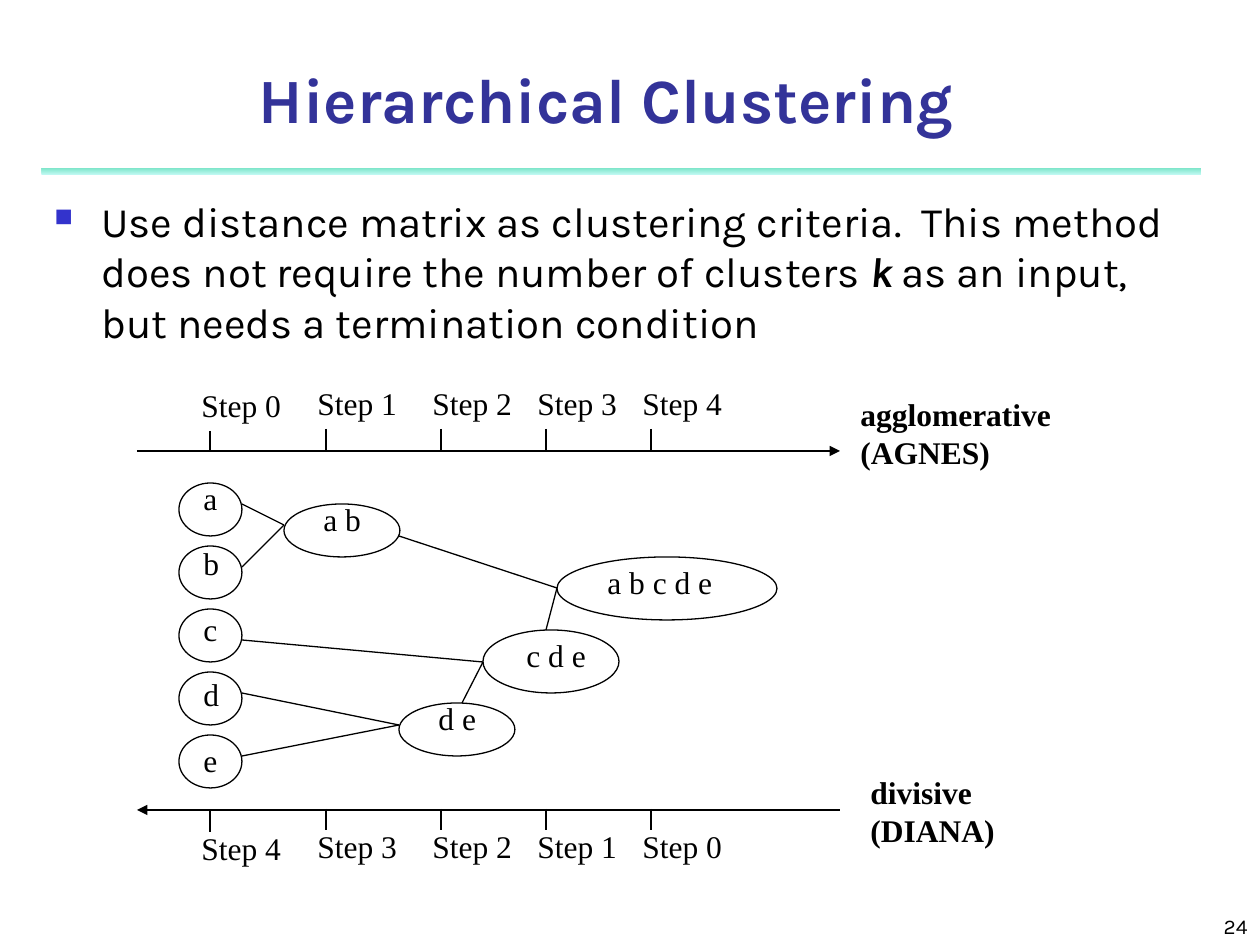
"""Build the hierarchical clustering slide."""
from lxml.etree import SubElement
from pptx import Presentation
from pptx.dml.color import RGBColor
from pptx.enum.shapes import MSO_CONNECTOR, MSO_SHAPE
from pptx.enum.text import MSO_ANCHOR, PP_ALIGN
from pptx.oxml.ns import qn
from pptx.util import Pt

THEME = {
    "ink": RGBColor.from_string("000000"),
    "title": RGBColor.from_string("333399"),
    "mark": "3333CC",
    "bar": ("8FF9EF", "00CE98"),
    "sans": "Karla",
    "serif": "Times New Roman",
    "big": Pt(36),
    "body": Pt(24),
    "label": Pt(18),
    "small": Pt(12),
    "thin": Pt(0.75),
    "thick": Pt(1.5),
}
INK = THEME["ink"]
LABEL = {"name": THEME["serif"], "size": THEME["label"]}


def px(*sizes):
    """Turn pixels into EMU."""
    return [round(n * 914400 / 126) for n in sizes]


def write(box, lines, look, color=INK, align=PP_ALIGN.LEFT, **frame):
    """Fill a box with lines, each a list of words and their own format."""
    for key, val in {"word_wrap": True, "vertical_anchor": MSO_ANCHOR.TOP, **frame}.items():
        setattr(box.text_frame, key, val)
    for i, line in enumerate(lines):
        para = box.text_frame.add_paragraph() if i else box.text_frame.paragraphs[0]
        para.alignment = align
        for words, extra in line:
            run = para.add_run()
            run.text = words
            run.font.color.rgb = color
            for key, val in {**look, **extra}.items():
                setattr(run.font, key, val)


deck = Presentation()
deck.slide_width, deck.slide_height = px(1260, 945)
slide = deck.slides.add_slide(deck.slide_layouts[5])
shapes = slide.shapes

bar = shapes.add_shape(MSO_SHAPE.RECTANGLE, *px(42, 168, 1159, 7))
bar.shadow.inherit = False
bar.line.fill.background()
bar.fill.gradient()
bar.fill.gradient_angle = 90
for stop, tint in zip(bar.fill.gradient_stops, THEME["bar"]):
    stop.color.rgb = RGBColor.from_string(tint)
for tint in bar.element.spPr.iter(qn("a:srgbClr")):
    SubElement(tint, qn("a:alpha"), val="50000")

title = shapes.title
title.left, title.top, title.width, title.height = px(103, 54, 1006, 88)
write(title, [[("Hierarchical Clustering", {"bold": True})]],
      {"name": THEME["sans"], "size": THEME["big"]}, THEME["title"],
      PP_ALIGN.CENTER, vertical_anchor=MSO_ANCHOR.MIDDLE)

body = shapes.add_textbox(*px(42, 189, 1144, 168))
prop = body.text_frame.paragraphs[0]._p.get_or_add_pPr()
inset, = px(47)
prop.set("marL", str(inset))
prop.set("indent", str(-inset))
SubElement(SubElement(prop, qn("a:buClr")), qn("a:srgbClr"), val=THEME["mark"])
SubElement(prop, qn("a:buSzPct"), val="60000")
SubElement(prop, qn("a:buChar"), char="■")
write(body, [[
    ("Use distance matrix as clustering criteria.  This method does not require "
     "the number of clusters ", {}),
    ("k", {"bold": True, "italic": True}),
    (" as an input, but needs a termination condition", {}),
]], {"name": THEME["sans"], "size": THEME["body"]})

wires = [
    (137, 451, 840, 451, "tailEnd"),
    (137, 810, 840, 810, "headEnd"),
    (242, 504, 284, 525, None),
    (242, 567, 284, 525, None),
    (242, 693, 399, 725, None),
    (242, 756, 399, 725, None),
    (242, 640, 483, 662, None),
    (462, 703, 483, 662, None),
    (399, 536, 557, 588, None),
    (546, 630, 557, 588, None),
]
for step, x in enumerate((210, 326, 441, 546, 651)):
    drop = 0 if step else 2
    for top, high, num in ((429, 378, step), (809, 821, 4 - step)):
        wires.append((x, top + drop, x, top + drop + 21, None))
        box = shapes.add_textbox(*px(x - 21, high + drop, 105, 50))
        write(box, [[(f"Step {num}", {})]], LABEL)

for *ends, tip in wires:
    wire = shapes.add_connector(MSO_CONNECTOR.STRAIGHT, *px(*ends))
    wire.line.color.rgb = INK
    wire.line.width = THEME["thick" if tip else "thin"]
    prop = wire.element.spPr
    if tip:
        SubElement(prop.find(qn("a:ln")), qn(f"a:{tip}"), type="triangle")
    SubElement(prop, qn("a:effectLst"))

nodes = [
    (name, (179, 483 + 63 * i, 63, 53), (191, 473 + 131 * i // 2, 44))
    for i, name in enumerate("abcde")
] + [
    ("a b", (284, 504, 116, 53), (311, 494, 68)),
    ("d e", (399, 703, 116, 53), (426, 693, 68)),
    ("c d e", (483, 630, 136, 63), (514, 630, 90)),
    ("a b c d e", (557, 557, 220, 63), (595, 557, 136)),
]
for name, oval, (x, y, wide) in nodes:
    box = shapes.add_textbox(*px(x, y, wide, 50))
    write(box, [[(name, {})]], LABEL, word_wrap=False)
    ring = shapes.add_shape(MSO_SHAPE.OVAL, *px(*oval))
    ring.shadow.inherit = False
    ring.fill.background()
    ring.line.color.rgb = INK
    ring.line.width = THEME["thin"]

for x, y, wide, *lines in (
    (848, 389, 222, "agglomerative", "(AGNES)"),
    (858, 767, 155, "divisive", "(DIANA)"),
):
    box = shapes.add_textbox(*px(x, y, wide, 88))
    write(box, [[(line, {"bold": True})] for line in lines], LABEL, word_wrap=False)

page = shapes.add_textbox(*px(998, 892, 262, 53))
write(page, [[("24", {})]], {"name": THEME["sans"], "size": THEME["small"]},
      align=PP_ALIGN.RIGHT, vertical_anchor=MSO_ANCHOR.BOTTOM)

deck.save("out.pptx")
